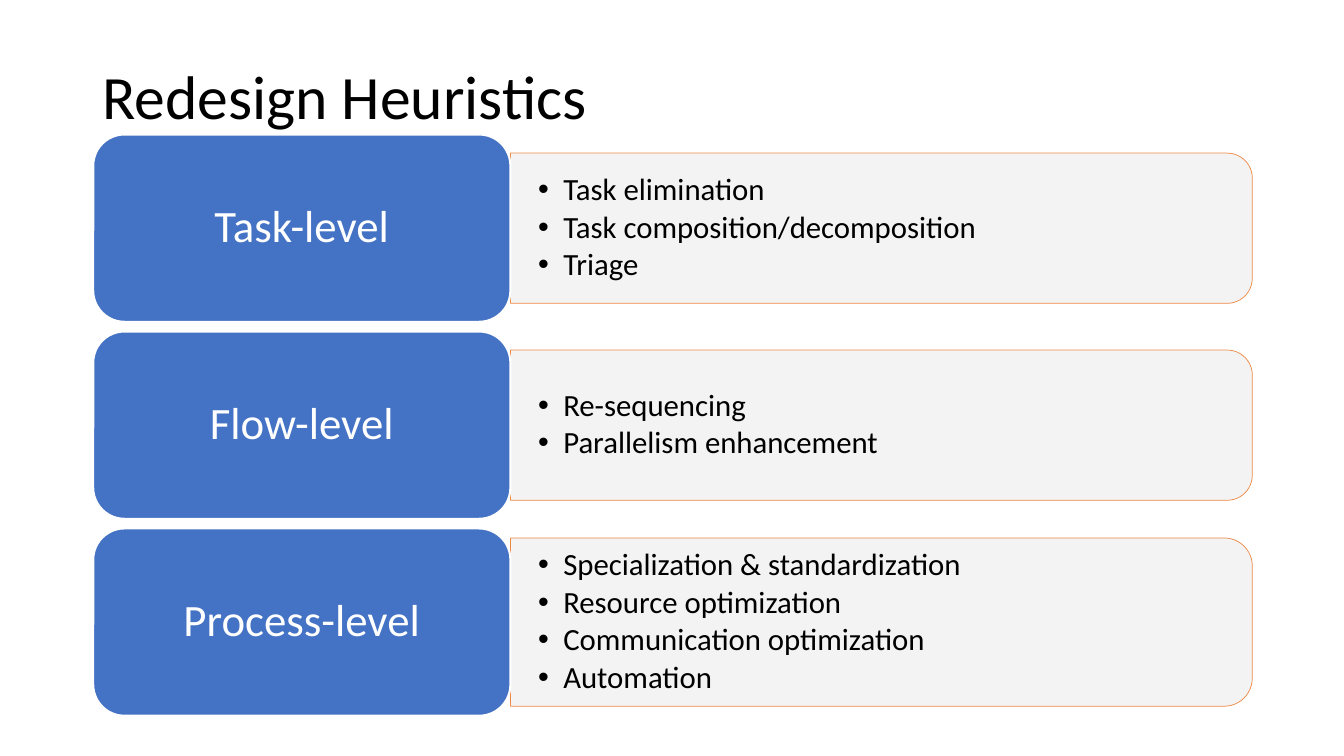
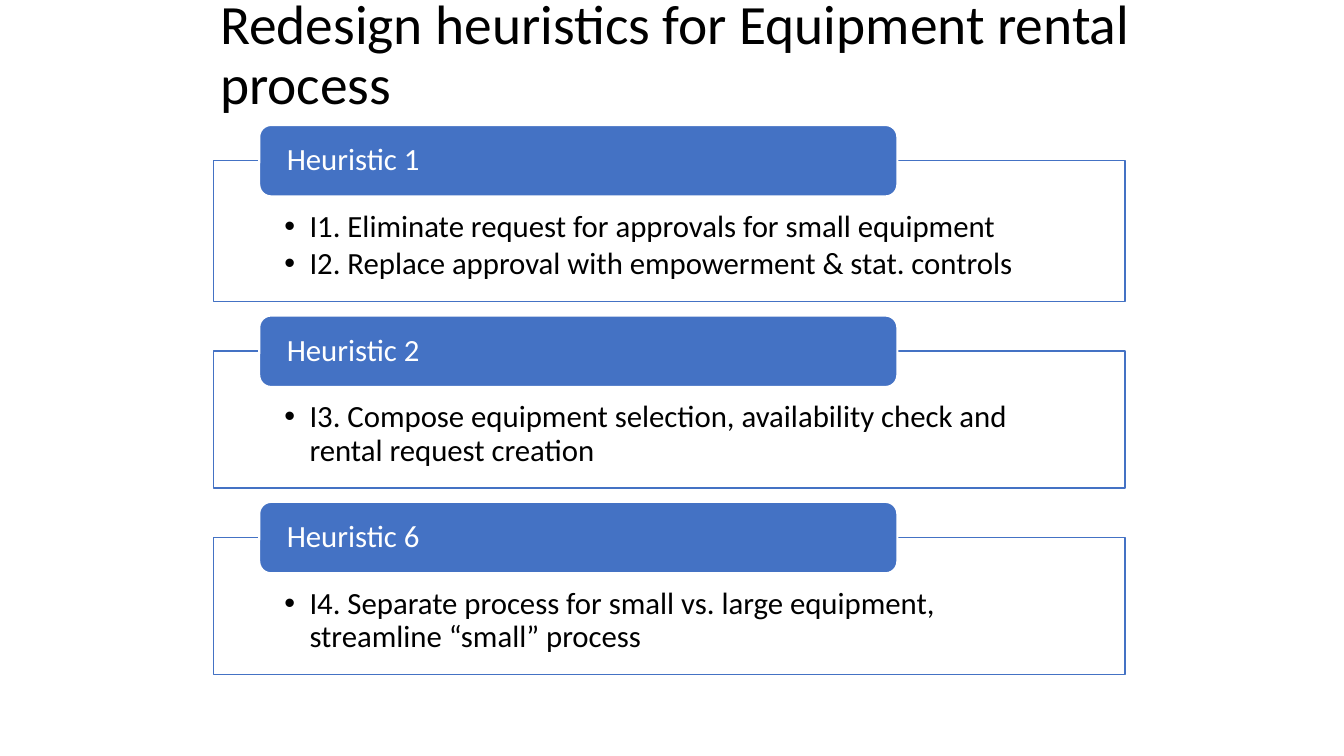
from pptx import Presentation
from pptx.dml.color import RGBColor
from pptx.enum import shapes, text
from pptx.oxml.ns import qn
from pptx.util import Pt
from lxml import etree

BLUE = RGBColor(0x44, 0x72, 0xC4)
ORANGE = RGBColor(0xED, 0x7D, 0x31)
GREY = RGBColor(0xF2, 0xF2, 0xF2)
WHITE = RGBColor(0xFF, 0xFF, 0xFF)
BLACK = RGBColor(0, 0, 0)
FONT = "Calibri"
BODY_SIZE = 22
INDENT = 18

LEVELS_TITLE = "Redesign Heuristics"
# label, bullets, panel height
LEVELS = [
    ("Task-level",
     ["Task elimination", "Task composition/decomposition", "Triage"], 107.3),
    ("Flow-level", ["Re-sequencing", "Parallelism enhancement"], 107.3),
    ("Process-level",
     ["Specialization & standardization", "Resource optimization",
      "Communication optimization", "Automation"], 120.2),
]

RENTAL_TITLE = "Redesign heuristics for Equipment rental process"
# tab, bullets, box height
HEURISTICS = [
    ("Heuristic 1",
     ["I1. Eliminate request for approvals for small equipment",
      "I2. Replace approval with empowerment & stat. controls"], 101),
    ("Heuristic 2",
     ["I3. Compose equipment selection, availability check and rental request creation"], 98),
    ("Heuristic 6",
     ["I4. Separate process for small vs. large equipment, streamline “small” process"], 98),
]


def write(shape, lines, size, color, margins=(7.2, 3.6, 7.2, 3.6), bullets=False,
          align=text.PP_ALIGN.LEFT, anchor=text.MSO_ANCHOR.MIDDLE):
    frame = shape.text_frame
    left, top, right, bottom = map(Pt, margins)
    settings = {"margin_left": left, "margin_top": top, "margin_right": right,
                "margin_bottom": bottom, "word_wrap": True,
                "auto_size": text.MSO_AUTO_SIZE.NONE, "vertical_anchor": anchor}
    for name, value in settings.items():
        setattr(frame, name, value)
    for index, line in enumerate(lines):
        paragraph = frame.add_paragraph() if index else frame.paragraphs[0]
        paragraph.alignment = align
        paragraph.line_spacing = 0.9
        run = paragraph.add_run()
        run.text = line
        for name, value in {"name": FONT, "size": Pt(size)}.items():
            setattr(run.font, name, value)
        run.font.color.rgb = color
        if bullets:
            paragraph.space_after = Pt(3)
            add_bullet(paragraph)


def add_bullet(paragraph):
    properties = paragraph._p.get_or_add_pPr()
    properties.set("marL", str(Pt(INDENT)))
    properties.set("indent", str(-Pt(INDENT)))
    etree.SubElement(properties, qn("a:buFont")).set("typeface", "Arial")
    etree.SubElement(properties, qn("a:buChar")).set("char", "•")


def add_block(slide, kind, box, fill, line, line_width):
    shape = slide.shapes.add_shape(kind, *map(Pt, box))
    shape.shadow.inherit = False
    shape.fill.solid()
    shape.fill.fore_color.rgb = fill
    shape.line.color.rgb = line
    shape.line.width = Pt(line_width)
    return shape


def set_opacity(shape, percent):
    """Make fill and outline partly transparent."""
    for color in shape._element.spPr.iter(qn("a:srgbClr")):
        etree.SubElement(color, qn("a:alpha")).set("val", str(percent * 1000))


def add_titled_slide(presentation, title, box, size):
    slide = presentation.slides.add_slide(presentation.slide_layouts[5])
    placeholder = slide.shapes.title
    for name, value in zip(("left", "top", "width", "height"), box):
        setattr(placeholder, name, Pt(value))
    write(placeholder, [title], size, BLACK)
    return slide


def add_levels_slide(presentation):
    slide = add_titled_slide(presentation, LEVELS_TITLE, (66, 18.7, 828, 104.4), 44)
    left, first_top, width, height, pitch = 66.6, 96.1, 298, 133.8, 140.7
    panel_left, panel_width = left + width, 529.9
    for index, (label, bullets, panel_height) in enumerate(LEVELS):
        top = first_top + index * pitch
        middle = top + height / 2
        center = panel_left + panel_width / 2
        # The rounded side points right, so width and height swap before turning
        panel = add_block(slide, shapes.MSO_SHAPE.ROUND_2_SAME_RECTANGLE,
                          (center - panel_height / 2, middle - panel_width / 2,
                           panel_height, panel_width), GREY, ORANGE, 0.5)
        panel.rotation = 90
        set_opacity(panel, 90)
        body = slide.shapes.add_textbox(
            *map(Pt, (panel_left, middle - panel_height / 2, panel_width, panel_height)))
        write(body, bullets, BODY_SIZE, BLACK, (19.8, 9.9, 19.8, 9.9), bullets=True)
        block = add_block(slide, shapes.MSO_SHAPE.ROUNDED_RECTANGLE,
                          (left, top, width, height), BLUE, WHITE, 1.5)
        write(block, [label], 32, WHITE, align=text.PP_ALIGN.CENTER)


def add_rental_slide(presentation):
    slide = add_titled_slide(presentation, RENTAL_TITLE, (150, 9.1, 669.6, 62.6), 39.6)
    left, width, tab_left, tab_width, tab_height = 152.6, 651, 185.2, 455.8, 51
    overhang, gap = 25.3, 9.8
    tab_top = 89.3
    for label, bullets, height in HEURISTICS:
        top = tab_top + overhang
        box = add_block(slide, shapes.MSO_SHAPE.RECTANGLE,
                        (left, top, width, height), WHITE, BLUE, 1)
        write(box, bullets, BODY_SIZE, BLACK, (50.5, 36, 50.5, 12.3), bullets=True,
              anchor=text.MSO_ANCHOR.TOP)
        tab = add_block(slide, shapes.MSO_SHAPE.ROUNDED_RECTANGLE,
                        (tab_left, tab_top, tab_width, tab_height), BLUE, WHITE, 1.5)
        # A rounded rectangle insets its text by its corner, about 2.5 pt here
        write(tab, [label], BODY_SIZE, WHITE, (17.2, 0, 17.2, 0))
        tab_top = top + height + gap


def main():
    presentation = Presentation()
    presentation.slide_width, presentation.slide_height = Pt(960), Pt(540)
    add_levels_slide(presentation)
    add_rental_slide(presentation)
    presentation.save("out.pptx")


if __name__ == "__main__":
    main()
